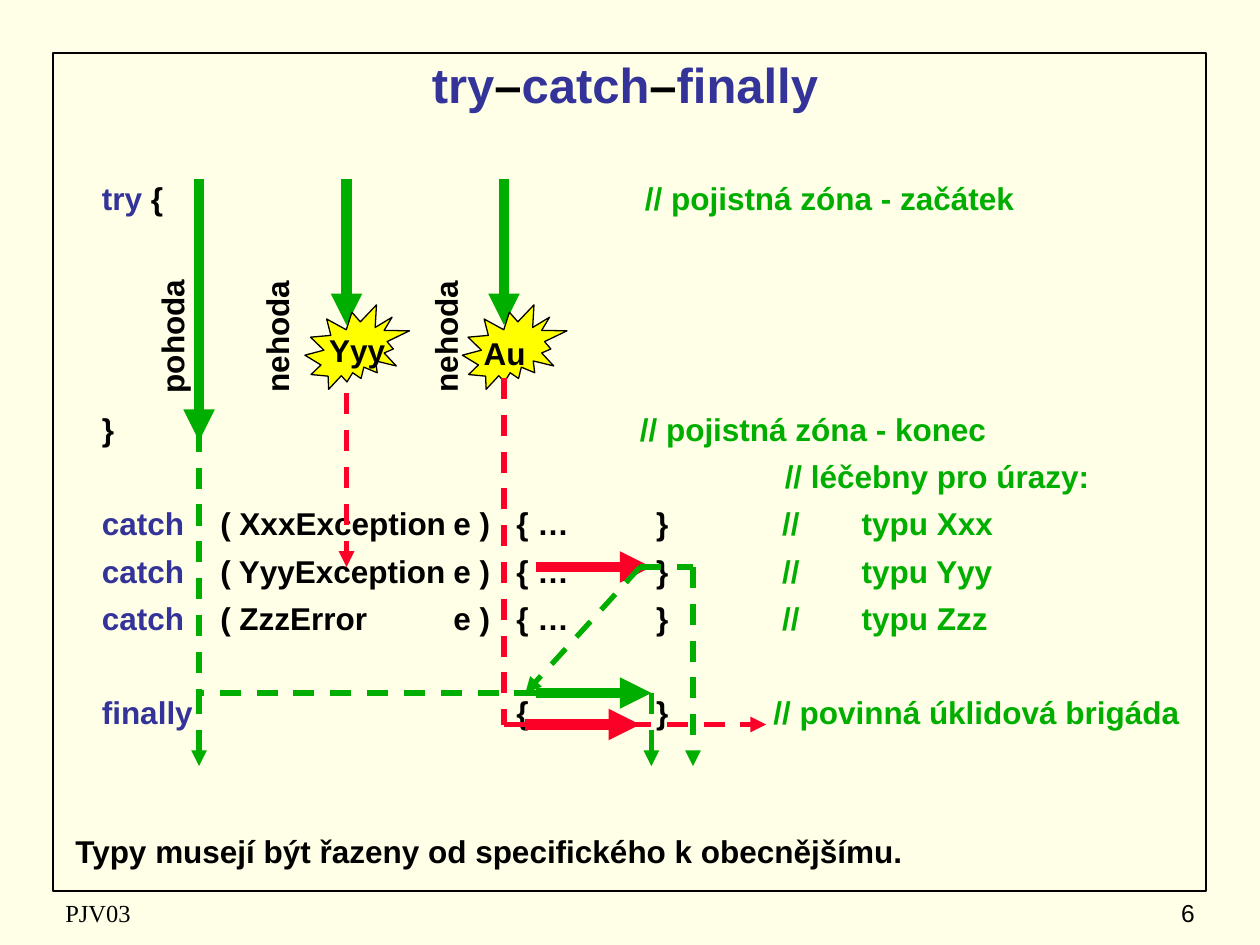
from lxml import etree
from pptx import Presentation
from pptx import util as u
from pptx.dml.color import RGBColor
from pptx.enum import dml, shapes, text
from pptx.oxml import ns

COLOURS = {
    "paper": "FFFFE7",
    "ink": "000000",
    "keyword": "333399",
    "green": "00AE00",
    "red": "FC0128",
    "burst": "FFFF00",
}


def colour(name):
    return RGBColor.from_string(COLOURS[name])


class SlideBuilder:
    font = "Arial"
    size = 18

    def __init__(self, presentation):
        self.slide = presentation.slides.add_slide(presentation.slide_layouts[5])
        background = self.slide.background.fill
        background.solid()
        background.fore_color.rgb = colour("paper")

    def add_runs(self, paragraph, runs, size=None, bold=True, font=None):
        for name, content in runs:
            run = paragraph.add_run()
            run.text = content
            run.font.name = font or self.font
            run.font.size = u.Pt(size or self.size)
            run.font.bold = bold
            run.font.color.rgb = colour(name)

    def place(self, shape, left, top, width, height):
        shape.left, shape.top = u.Inches(left), u.Inches(top)
        shape.width, shape.height = u.Inches(width), u.Inches(height)

    def title(self, runs, box):
        shape = self.slide.shapes.title
        self.place(shape, *box)
        frame = shape.text_frame
        frame.auto_size = text.MSO_AUTO_SIZE.NONE
        frame.vertical_anchor = text.MSO_ANCHOR.MIDDLE
        frame.paragraphs[0].alignment = text.PP_ALIGN.CENTER
        self.add_runs(frame.paragraphs[0], runs, size=28)

    def text_box(self, box, anchor=text.MSO_ANCHOR.TOP):
        shape = self.slide.shapes.add_textbox(*map(u.Inches, box))
        shape.text_frame.word_wrap = True
        shape.text_frame.vertical_anchor = anchor
        return shape

    def label(self, content, box, rotation=0):
        shape = self.text_box(box)
        shape.rotation = rotation
        paragraph = shape.text_frame.paragraphs[0]
        paragraph.alignment = text.PP_ALIGN.CENTER
        self.add_runs(paragraph, [("ink", content)])

    def footer(self, content, box, alignment, font):
        shape = self.text_box(box, text.MSO_ANCHOR.MIDDLE)
        paragraph = shape.text_frame.paragraphs[0]
        paragraph.alignment = alignment
        self.add_runs(paragraph, [("ink", content)], 14, False, font)

    def code(self, lines, box):
        frame = self.text_box(box).text_frame
        for index, (skipped, stops, runs) in enumerate(lines):
            paragraph = frame.add_paragraph() if index else frame.paragraphs[0]
            self.tab_stops(paragraph, stops)
            if index:
                paragraph.space_before = u.Pt(5.5 + 26.2 * skipped)
            self.add_runs(paragraph, runs)

    def tab_stops(self, paragraph, stops):
        if not stops:
            return
        properties = paragraph._p.get_or_add_pPr()
        tab_list = etree.SubElement(properties, ns.qn("a:tabLst"))
        for stop in stops:
            etree.SubElement(tab_list, ns.qn("a:tab"), pos=str(u.Inches(stop)), algn="l")

    def shape(self, kind, box, fill=None, width=0.75):
        shape = self.slide.shapes.add_shape(kind, *map(u.Inches, box))
        shape.shadow.inherit = False
        if fill:
            shape.fill.solid()
            shape.fill.fore_color.rgb = colour(fill)
        else:
            shape.fill.background()
        shape.line.color.rgb = colour("ink")
        shape.line.width = u.Pt(width)

    def line(self, name, start, end, dashed=True, arrow=True):
        connector = self.slide.shapes.add_connector(
            shapes.MSO_CONNECTOR.STRAIGHT, *map(u.Inches, start + end))
        connector.line.color.rgb = colour(name)
        connector.line.width = u.Pt(3 if dashed else 6)
        if dashed:
            connector.line.dash_style = dml.MSO_LINE.DASH
        if arrow:
            etree.SubElement(connector.line._get_or_add_ln(), ns.qn("a:tailEnd"), type="triangle")
        etree.SubElement(connector._element.spPr, ns.qn("a:effectLst"))

    def solid_arrow(self, name, start, end):
        self.line(name, start, end, dashed=False)

    def dashes(self, name, start, end):
        self.line(name, start, end, arrow=False)


def catch_line(exception, kind):
    return (0, [0.21, 1.15, 3, 3.5, 4.61, 5.61, 6.24], [
        ("keyword", "\tcatch"),
        ("ink", f"\t( {exception}\te )\t{{ …\t}}"),
        ("green", f"\t//\ttypu {kind}"),
    ])


def main():
    presentation = Presentation()
    presentation.slide_width, presentation.slide_height = u.Inches(10), u.Inches(7.5)
    builder = SlideBuilder(presentation)

    builder.shape(shapes.MSO_SHAPE.RECTANGLE, (0.42, 0.42, 9.15, 6.65), width=1)
    builder.footer("PJV03", (0.42, 7.08, 3.17, 0.33), text.PP_ALIGN.LEFT, "Times New Roman")
    builder.footer("6", (7.5, 7.08, 2.08, 0.33), text.PP_ALIGN.RIGHT, "Arial")
    builder.title([("keyword", "try"), ("ink", "–"), ("keyword", "catch"),
                   ("ink", "–"), ("keyword", "finally")], (0.5, 0.33, 8.92, 0.67))

    builder.code([
        (0, [0.21, 4.52], [("keyword", "\ttry"), ("ink", " {"),
                           ("green", "\t// pojistná zóna - začátek")]),
        (4, [0.21, 4.48], [("ink", "\t}"), ("green", "\t// pojistná zóna - konec")]),
        (0, [5.63], [("green", "\t// léčebny pro úrazy:")]),
        catch_line("XxxException", "Xxx"),
        catch_line("YyyException", "Yyy"),
        catch_line("ZzzError", "Zzz"),
        (1, [0.21, 3.5, 4.61, 5.54], [("keyword", "\tfinally"), ("ink", "\t{ …\t}"),
                                      ("green", "\t// povinná úklidová brigáda")]),
        (2, [], [("ink", "Typy musejí být řazeny od specifického k obecnějšímu.")]),
    ], (0.5, 1.37, 9.08, 5.7))

    calm, yyy, au = 1.58, 2.75, 4
    catch_y, finally_y, failure_y, exit_y = 4.5, 5.5, 5.75, 6.08

    for x, bottom in ((calm, 3.5), (yyy, 2.58), (au, 2.58)):
        builder.solid_arrow("green", (x, 1.42), (x, bottom))
    builder.solid_arrow("green", (4.25, finally_y), (5.17, finally_y))
    builder.line("red", (yyy, 2.83), (yyy, catch_y))
    builder.solid_arrow("red", (4.25, catch_y), (5.17, catch_y))
    builder.line("green", (5.08, catch_y), (4.17, finally_y))
    builder.line("green", (5.17, finally_y), (5.17, exit_y))

    for x in (au, yyy):
        builder.shape(shapes.MSO_SHAPE.EXPLOSION2, (x - 0.33, 2.42, 0.83, 0.67), "burst")

    builder.dashes("red", (au, 3), (au, failure_y))
    builder.dashes("red", (au, failure_y), (4.25, failure_y))
    builder.solid_arrow("red", (4.17, failure_y), (5.08, failure_y))
    builder.line("red", (5, failure_y), (6.08, failure_y))
    builder.dashes("green", (calm, 3.42), (calm, finally_y))
    builder.line("green", (calm, finally_y), (calm, exit_y))
    builder.dashes("green", (4.25, finally_y), (3.17, finally_y))
    builder.dashes("green", (3.08, finally_y), (calm, finally_y))
    builder.dashes("green", (5.08, catch_y), (5.5, catch_y))
    builder.line("green", (5.5, catch_y), (5.5, exit_y))

    for content, left in (("pohoda", 0.7), ("nehoda", 1.53), ("nehoda", 2.87)):
        builder.label(content, (left, 2.47, 1.33, 0.4), rotation=270)
    builder.label("Yyy", (2.5, 2.58, 0.67, 0.4))
    builder.label("Au", (3.67, 2.6, 0.67, 0.4))

    presentation.save("out.pptx")


if __name__ == "__main__":
    main()
